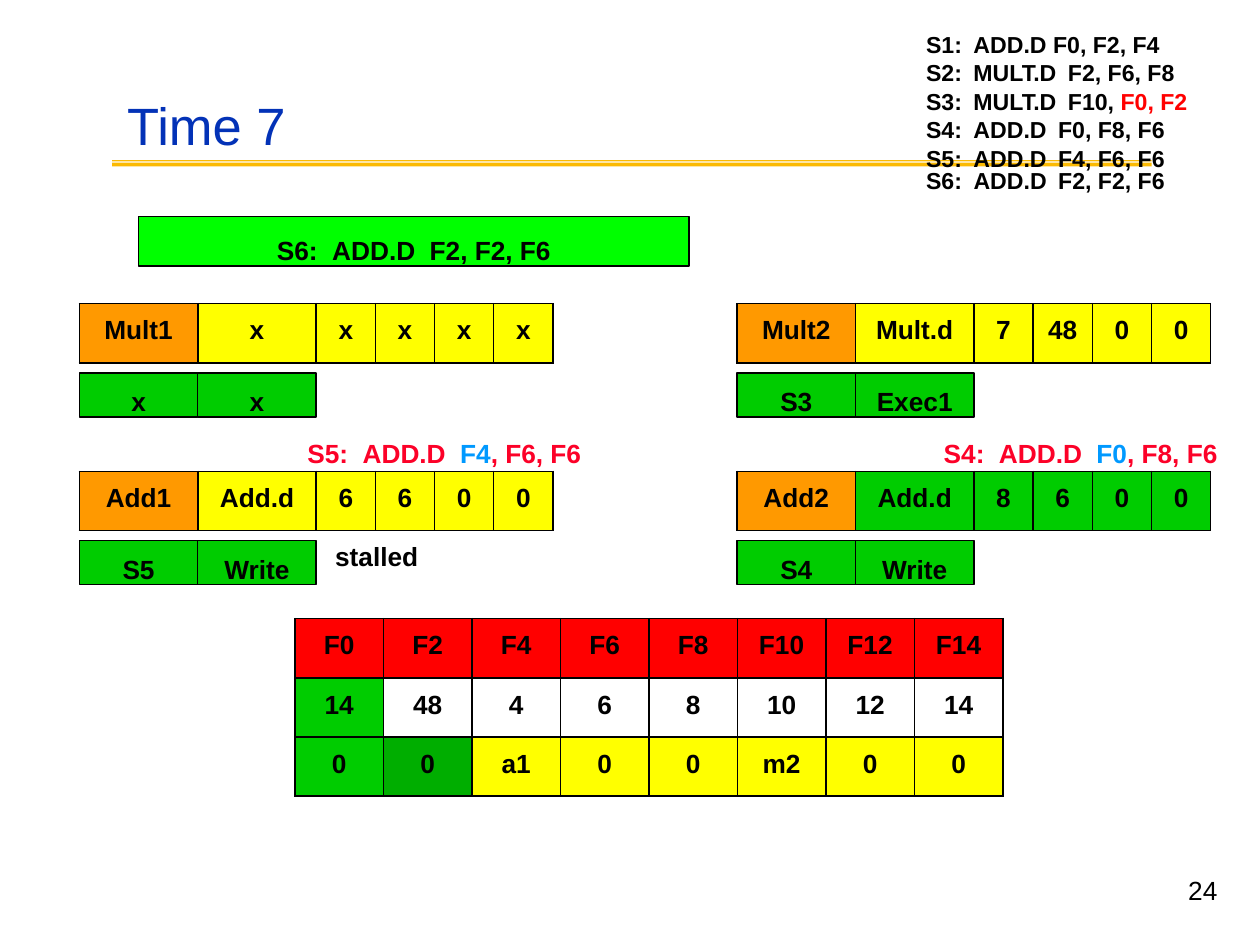
from lxml.etree import SubElement
from pptx import Presentation
from pptx.dml.color import RGBColor
from pptx.enum.shapes import MSO_SHAPE as Shape
from pptx.enum.text import MSO_ANCHOR as Anchor, PP_ALIGN as Align
from pptx.oxml.ns import qn
from pptx.util import Inches, Pt

BLACK = RGBColor(0, 0, 0)
WHITE = RGBColor(255, 255, 255)
TITLE_BLUE = RGBColor(0x03, 0x32, 0xB7)
GOLD = RGBColor(0xFB, 0xBA, 0x03)
LIME = RGBColor(0, 0xFF, 0)
GREEN = RGBColor(0, 0xCC, 0)
DARK_GREEN = RGBColor(0, 0xAE, 0)
ORANGE = RGBColor(0xFF, 0x99, 0)
YELLOW = RGBColor(0xFF, 0xFF, 0)
RED = RGBColor(0xFF, 0, 0)
CRIMSON = RGBColor(0xFC, 0x01, 0x28)
SKY = RGBColor(0, 0x99, 0xFF)

STATION_WIDTHS = [0.94, 0.94, 0.47, 0.47, 0.47, 0.47]
ROW_HEIGHT = 0.47
GAP_RATIO = {15: 0.27, 13.2: 0.22}


def add_run(para, text, size=15, color=BLACK, bold=True):
    span = para.add_run()
    span.text = text
    span.font.name = "Arial"
    span.font.size = Pt(size)
    span.font.bold = bold
    span.font.color.rgb = color
    return span


def add_gap(para, size):
    span = add_run(para, " ", size)
    span.font._element.set("spc", str(round(size * GAP_RATIO[size] * 100)))


def add_instruction(para, label, opcode, *operands, size=15, color=BLACK):
    add_run(para, label, size, color)
    add_gap(para, size)
    add_run(para, opcode, size, color)
    if operands:
        add_gap(para, size)
    for text, operand_color in operands:
        add_run(para, text, size, operand_color)


def set_frame(frame, left, top):
    frame.word_wrap = True
    frame.vertical_anchor = Anchor.TOP
    frame.margin_left, frame.margin_top = Inches(left), Inches(top)
    frame.margin_right = frame.margin_bottom = 0


def add_text_box(slide, left, top, width, height, inset=0.01):
    box = slide.shapes.add_textbox(*map(Inches, (left, top, width, height)))
    set_frame(box.text_frame, 0.01, inset)
    return box.text_frame


def add_block(slide, left, top, width, height, fill, inset):
    block = slide.shapes.add_shape(
        Shape.RECTANGLE, *map(Inches, (left, top, width, height)))
    block.shadow.inherit = False
    block.fill.solid()
    block.fill.fore_color.rgb = fill
    block.line.color.rgb = BLACK
    block.line.width = Pt(0.8)
    set_frame(block.text_frame, 0, inset)
    para = block.text_frame.paragraphs[0]
    para.alignment = Align.CENTER
    return para


def add_borders(cell):
    properties = cell._tc.get_or_add_tcPr()
    for side in ("a:lnL", "a:lnR", "a:lnT", "a:lnB"):
        line = SubElement(properties, qn(side), w=str(Pt(1)))
        SubElement(SubElement(line, qn("a:solidFill")), qn("a:srgbClr"), val=str(BLACK))


def fill_cell(cell, text, fill):
    add_borders(cell)
    cell.fill.solid()
    cell.fill.fore_color.rgb = fill
    cell.margin_left = cell.margin_right = cell.margin_bottom = 0
    cell.margin_top = Inches(0.1)
    para = cell.text_frame.paragraphs[0]
    para.alignment = Align.CENTER
    add_run(para, text)


def add_grid(slide, left, top, widths, rows, fills):
    frame = slide.shapes.add_table(
        len(rows), len(widths), Inches(left), Inches(top),
        Inches(sum(widths)), Inches(ROW_HEIGHT * len(rows)))
    table = frame.table
    table.first_row = table.horz_banding = False
    for column, width in zip(table.columns, widths):
        column.width = Inches(width)
    for r, (texts, colors) in enumerate(zip(rows, fills)):
        table.rows[r].height = Inches(ROW_HEIGHT)
        for c, (text, color) in enumerate(zip(texts, colors)):
            fill_cell(table.cell(r, c), text, color)


def add_station(slide, left, top, values, fill, status):
    add_grid(slide, left, top, STATION_WIDTHS, [values], [[ORANGE] + [fill] * 5])
    for i, text in enumerate(status):
        para = add_block(slide, left + 0.94 * i, top + 0.55, 0.94, 0.35, GREEN, 0.1)
        add_run(para, text)


def add_title_rule(slide):
    left, right = 89, 914
    builder = slide.shapes.build_freeform(left, 129, scale=Inches(0.01))
    builder.add_line_segments([(right, 129), (right, 132), (left, 132)])
    builder.move_to(left, 127)
    builder.add_line_segments([(right, 127), (right, 128), (left, 128)])
    rule = builder.convert_to_shape()
    rule.shadow.inherit = False
    rule.fill.solid()
    rule.fill.fore_color.rgb = GOLD
    rule.line.fill.background()


def add_program(slide):
    frame = add_text_box(slide, 7.34, 0.22, 2.1, 1.11, 0.02)
    listing = [
        ("S1:", "ADD.D F0, F2, F4"),
        ("S2:", "MULT.D", ("F2, F6, F8", BLACK)),
        ("S3:", "MULT.D", ("F10, ", BLACK), ("F0, F2", RED)),
        ("S4:", "ADD.D", ("F0, F8, F6", BLACK)),
        ("S5:", "ADD.D", ("F4, F6, F6", BLACK)),
    ]
    for i, instruction in enumerate(listing):
        para = frame.add_paragraph() if i else frame.paragraphs[0]
        if i:
            para.space_before = Pt(0.4)
        add_instruction(para, *instruction, size=13.2)
    last = add_text_box(slide, 7.34, 1.31, 1.92, 0.24).paragraphs[0]
    add_instruction(last, "S6:", "ADD.D", ("F2, F2, F6", BLACK), size=13.2)


def add_writeback(slide, left, label, target, sources):
    para = add_text_box(slide, left, 3.46, 2.22, 0.26).paragraphs[0]
    add_instruction(para, label, "ADD.D", (target, SKY), (sources, CRIMSON), color=CRIMSON)


def add_registers(slide):
    rows = [
        [f"F{n}" for n in range(0, 16, 2)],
        ["14", "48", "4", "6", "8", "10", "12", "14"],
        ["0", "0", "a1", "0", "0", "m2", "0", "0"],
    ]
    fills = [[RED] * 8, [GREEN] + [WHITE] * 7, [GREEN, DARK_GREEN] + [YELLOW] * 6]
    add_grid(slide, 2.34, 4.91, [0.7025] * 8, rows, fills)


def main():
    deck = Presentation()
    deck.slide_width, deck.slide_height = Inches(10), Inches(7.5)
    slide = deck.slides.add_slide(deck.slide_layouts[6])

    add_title_rule(slide)
    title = add_text_box(slide, 1, 0.6, 5.67, 0.64, 0.14).paragraphs[0]
    add_run(title, "Time 7", 30, TITLE_BLUE, False)

    issue = add_block(slide, 1.1, 1.72, 4.37, 0.39, LIME, 0.14)
    add_instruction(issue, "S6:", "ADD.D", ("F2, F2, F6", BLACK))

    add_station(slide, 0.63, 2.41, ["Mult1"] + ["x"] * 5, YELLOW, ["x", "x"])
    add_station(slide, 5.85, 2.41, ["Mult2", "Mult.d", "7", "48", "0", "0"],
                YELLOW, ["S3", "Exec1"])
    add_station(slide, 0.63, 3.74, ["Add1", "Add.d", "6", "6", "0", "0"],
                YELLOW, ["S5", "Write"])
    add_station(slide, 5.85, 3.74, ["Add2", "Add.d", "8", "6", "0", "0"],
                GREEN, ["S4", "Write"])
    add_registers(slide)

    add_run(add_text_box(slide, 2.65, 4.28, 0.69, 0.26).paragraphs[0], "stalled")
    add_writeback(slide, 7.48, "S4:", "F0", ", F8, F6")
    add_writeback(slide, 2.43, "S5:", "F4", ", F6, F6")
    add_program(slide)

    number = add_text_box(slide, 9.42, 6.94, 0.28, 0.48, 0).paragraphs[0]
    add_run(number, "24", bold=False)
    deck.save("out.pptx")


if __name__ == "__main__":
    main()
